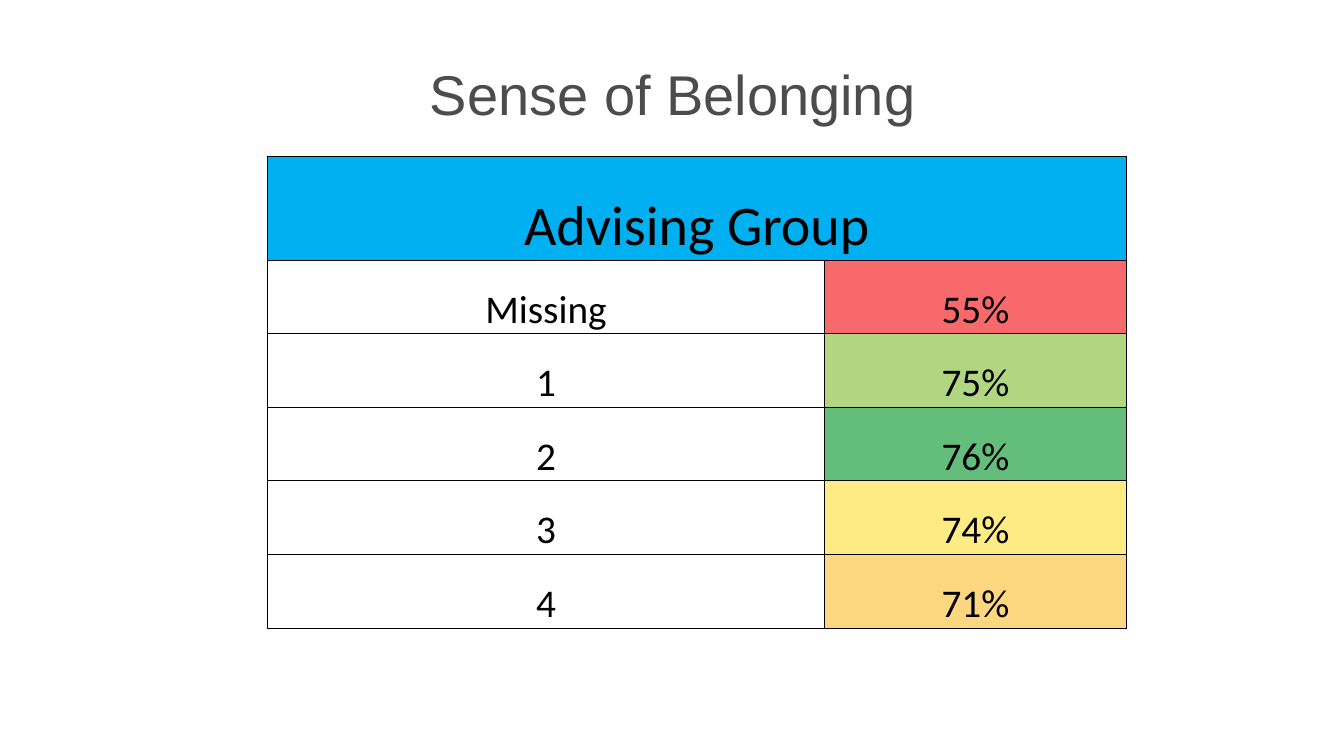
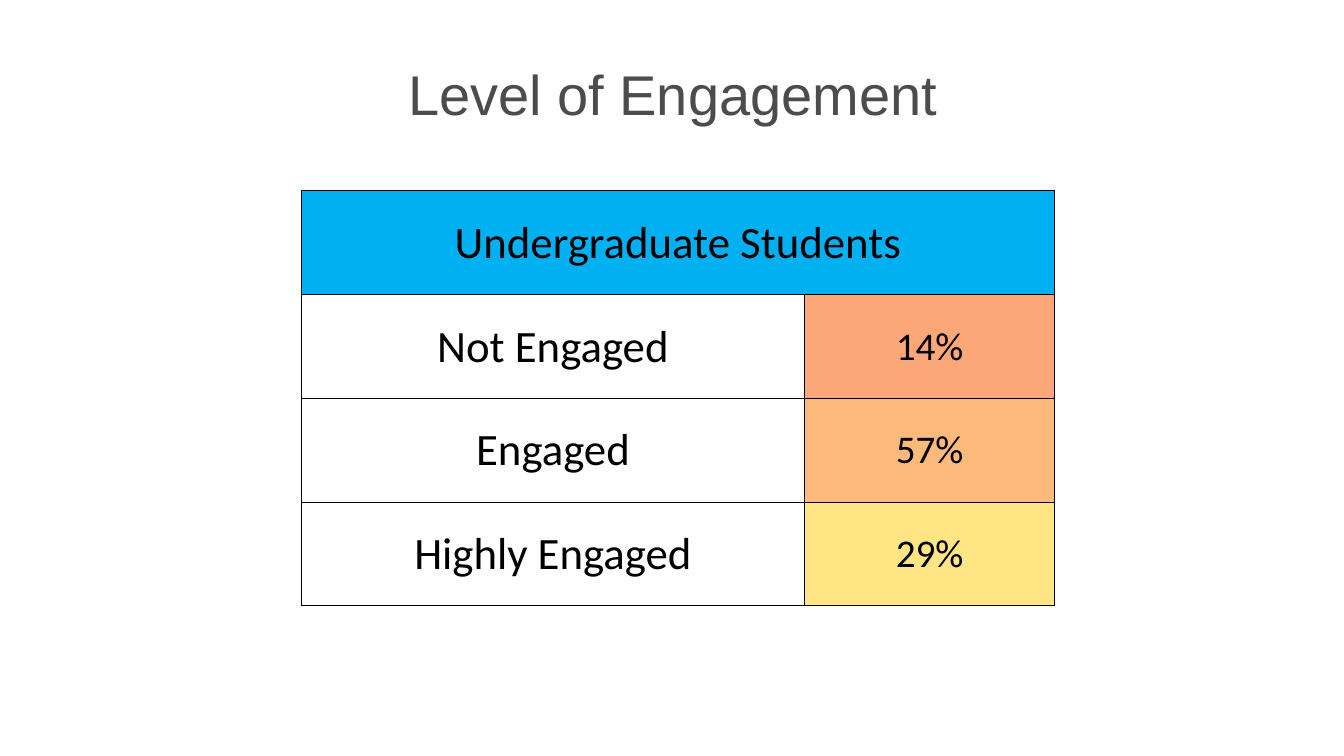
from lxml import etree
from pptx import Presentation
from pptx.dml.color import RGBColor
from pptx.enum import text
from pptx.oxml import ns
from pptx.util import Inches, Pt

WIDTH, HEIGHT = 13.33, 7.5
TITLE_BOX = (0.67, 0.3, 12, 1.25)
TITLE_FONT = {"name": "Arial", "size": 40, "color": "4C4C4C"}
HEADER_FILL, INK = "00B0F0", "000000"
HEADER_HEIGHT = 1.03
BORDER_WIDTH = 0.5
CELL_FORMAT = {
    "margin_left": Inches(0.01),
    "margin_right": Inches(0.01),
    "margin_top": Inches(0.01),
    "margin_bottom": 0,
}

SLIDES = [
    {
        "title": "Sense of Belonging",
        "header": "Advising Group",
        "rows": [
            ("Missing", "55%", "F8696B"),
            ("1", "75%", "B1D580"),
            ("2", "76%", "63BE7B"),
            ("3", "74%", "FFEB84"),
            ("4", "71%", "FDD680"),
        ],
        "origin": (2.65, 1.55),
        "columns": (5.53, 2.99),
        "row_height": 0.73,
        "sizes": {"header": 40, "label": 28, "value": 28},
        "anchor": text.MSO_ANCHOR.BOTTOM,
    },
    {
        "title": "Level of Engagement",
        "header": "Undergraduate Students",
        "rows": [
            ("Not Engaged", "14%", "FCA777"),
            ("Engaged", "57%", "FDBA7B"),
            ("Highly Engaged", "29%", "FFE583"),
        ],
        "origin": (2.99, 1.89),
        "columns": (4.99, 2.48),
        "row_height": HEADER_HEIGHT,
        "sizes": {"header": 32, "label": 32, "value": 28},
        "anchor": text.MSO_ANCHOR.MIDDLE,
    },
]


def rgb(value):
    return RGBColor.from_string(value)


def write(frame, words, name, size, color):
    """Put one centred, formatted paragraph in a text frame."""
    paragraph = frame.paragraphs[0]
    paragraph.alignment = text.PP_ALIGN.CENTER
    run = paragraph.add_run()
    run.text = words
    run.font.name, run.font.size = name, Pt(size)
    run.font.color.rgb = rgb(color)


def add_borders(cell):
    properties = cell._tc.get_or_add_tcPr()
    for side in ("lnL", "lnR", "lnT", "lnB"):
        line = etree.SubElement(properties, ns.qn(f"a:{side}"), w=str(Pt(BORDER_WIDTH)))
        fill = etree.SubElement(line, ns.qn("a:solidFill"))
        etree.SubElement(fill, ns.qn("a:srgbClr"), val=INK)


def format_cell(cell, anchor, fill=None):
    for name, value in CELL_FORMAT.items():
        setattr(cell, name, value)
    cell.vertical_anchor = anchor
    add_borders(cell)  # the schema wants borders ahead of the fill
    if fill:
        cell.fill.solid()
        cell.fill.fore_color.rgb = rgb(fill)
    else:
        cell.fill.background()


def add_title(slide, words):
    title = slide.shapes.title
    for name, value in zip(("left", "top", "width", "height"), TITLE_BOX):
        setattr(title, name, Inches(value))
    frame = title.text_frame
    frame.auto_size = text.MSO_AUTO_SIZE.NONE
    frame.vertical_anchor = text.MSO_ANCHOR.MIDDLE
    write(frame, words, **TITLE_FONT)


def add_score_table(slide, content):
    heights = [HEADER_HEIGHT] + [content["row_height"]] * len(content["rows"])
    box = (*content["origin"], sum(content["columns"]), sum(heights))
    frame = slide.shapes.add_table(
        len(heights), len(content["columns"]), *map(Inches, box))
    table = frame.table
    table.first_row = table.horz_banding = False
    for column, width in zip(table.columns, content["columns"]):
        column.width = Inches(width)
    for row, height in zip(table.rows, heights):
        row.height = Inches(height)

    grid = [[("header", content["header"], HEADER_FILL), ("header", "", HEADER_FILL)]]
    for label, value, color in content["rows"]:
        grid.append([("label", label, None), ("value", value, color)])
    for row, entries in zip(table.rows, grid):
        for cell, (role, words, fill) in zip(row.cells, entries):
            format_cell(cell, content["anchor"], fill)
            if words:
                write(cell.text_frame, words, "Calibri", content["sizes"][role], INK)
    table.cell(0, 0).merge(table.cell(0, 1))


def main():
    presentation = Presentation()
    presentation.slide_width = Inches(WIDTH)
    presentation.slide_height = Inches(HEIGHT)
    title_only = presentation.slide_layouts[5]
    for content in SLIDES:
        slide = presentation.slides.add_slide(title_only)
        add_title(slide, content["title"])
        add_score_table(slide, content)
    presentation.save("out.pptx")


if __name__ == "__main__":
    main()
